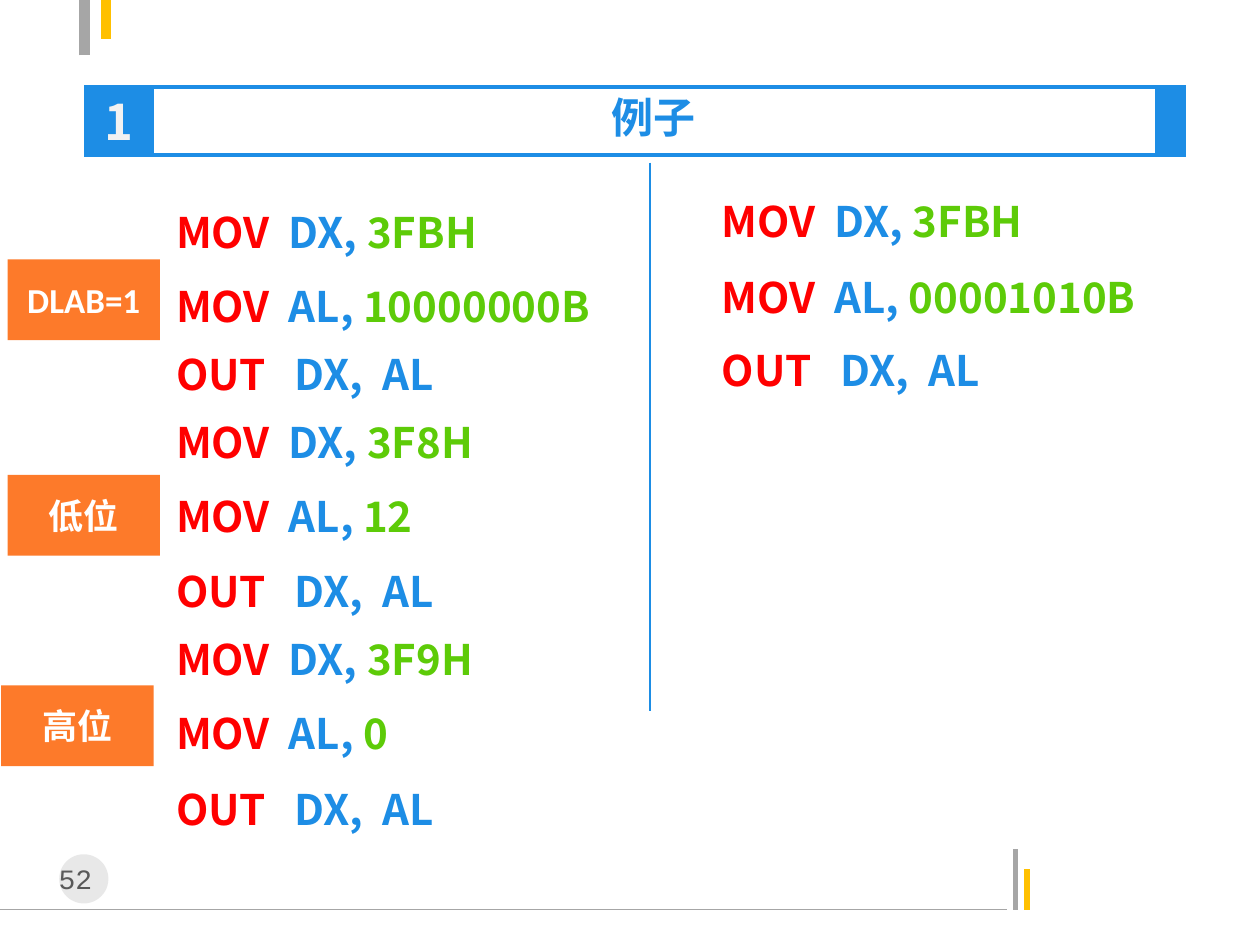
from dataclasses import dataclass

import pptx
import pptx.dml.color
import pptx.enum.shapes
import pptx.enum.text
import pptx.oxml.ns
import pptx.util
from lxml import etree

RGBColor = pptx.dml.color.RGBColor
Align = pptx.enum.text.PP_ALIGN
Anchor = pptx.enum.text.MSO_ANCHOR
Shape = pptx.enum.shapes.MSO_SHAPE

BLUE = RGBColor(0x1D, 0x8D, 0xE5)
RED = RGBColor(0xFF, 0x00, 0x00)
GREEN = RGBColor(0x5D, 0xCB, 0x08)
ORANGE = RGBColor(0xFD, 0x7A, 0x2A)
GOLD = RGBColor(0xFF, 0xC0, 0x00)
GRAY = RGBColor(0xA6, 0xA6, 0xA6)
SILVER = RGBColor(0xBF, 0xBF, 0xBF)
DARK = RGBColor(0x59, 0x59, 0x59)
PALE = RGBColor(0xF2, 0xF2, 0xF2)
WHITE = RGBColor(0xFF, 0xFF, 0xFF)

CJK_FONT = "Noto Sans CJK SC"
WIDTH = pptx.util.Inches(10)
HEIGHT = pptx.util.Inches(7.5)
COLUMNS, ROWS = 100, 75
LEFT_CODE, RIGHT_CODE = 13, 56.3


@dataclass(frozen=True)
class Area:
    column: float
    row: float
    columns: float
    rows: float

    def lengths(self) -> tuple[int, int, int, int]:
        return (across(self.column), down(self.row),
                across(self.columns), down(self.rows))


@dataclass(frozen=True)
class Rule:
    start: tuple[float, float]
    end: tuple[float, float]
    color: RGBColor
    points: float


@dataclass(frozen=True)
class Style:
    size: float
    color: RGBColor
    font: str = CJK_FONT
    bold: bool = True


@dataclass(frozen=True)
class Instruction:
    column: float
    row: float
    operator: str
    register: str
    value: str = ""


@dataclass(frozen=True)
class Label:
    column: float
    row: float
    text: str


RULES = [
    Rule((0, 72.2), (79.9, 72.2), GRAY, 0.75),
    Rule((80.6, 72.2), (80.6, 67.4), GRAY, 3),
    Rule((81.5, 72.2), (81.5, 69), GOLD, 3),
    Rule((6.7, 4.4), (6.7, 0), GRAY, 6),
    Rule((8.4, 0), (8.4, 3.1), GOLD, 6),
    Rule((6.7, 12.3), (94.1, 12.3), BLUE, 2.25),
    Rule((6.7, 6.9), (94.1, 6.9), BLUE, 2.25),
    Rule((51.6, 12.9), (51.6, 56.4), BLUE, 1),
]

INSTRUCTIONS = [
    Instruction(LEFT_CODE, 14.7, "MOV  ", "DX, ", "3FBH"),
    Instruction(LEFT_CODE, 20.6, "MOV  ", "AL, ", "10000000B"),
    Instruction(LEFT_CODE, 26, "OUT   ", "DX,  AL"),
    Instruction(LEFT_CODE, 31.4, "MOV  ", "DX, ", "3F8H"),
    Instruction(LEFT_CODE, 37.3, "MOV  ", "AL, ", "12"),
    Instruction(LEFT_CODE, 43.2, "OUT   ", "DX,  AL"),
    Instruction(LEFT_CODE, 48.6, "MOV  ", "DX, ", "3F9H"),
    Instruction(LEFT_CODE, 54.5, "MOV  ", "AL, ", "0"),
    Instruction(LEFT_CODE, 60.5, "OUT   ", "DX,  AL"),
    Instruction(RIGHT_CODE, 13.9, "MOV  ", "DX, ", "3FBH"),
    Instruction(RIGHT_CODE, 19.9, "MOV  ", "AL, ", "00001010B"),
    Instruction(RIGHT_CODE, 25.7, "OUT   ", "DX,  AL"),
]

LABELS = [
    Label(0.6, 20.6, "DLAB=1"),
    Label(0.6, 37.7, "低位"),
    Label(0.1, 54.4, "高位"),
]


def across(columns: float) -> int:
    return round(WIDTH * columns / COLUMNS)


def down(rows: float) -> int:
    return round(HEIGHT * rows / ROWS)


def add_span(para, text: str, style: Style) -> None:
    span = para.add_run()
    span.text = text
    span.font.name = style.font
    span.font.size = pptx.util.Pt(style.size)
    span.font.bold = style.bold
    span.font.color.rgb = style.color
    east_asian = etree.SubElement(span.font._element, pptx.oxml.ns.qn("a:ea"))
    east_asian.set("typeface", CJK_FONT)


def draw_rule(page, rule: Rule) -> None:
    line = page.shapes.add_connector(
        pptx.enum.shapes.MSO_CONNECTOR.STRAIGHT,
        across(rule.start[0]), down(rule.start[1]),
        across(rule.end[0]), down(rule.end[1]))
    line.line.color.rgb = rule.color
    line.line.width = pptx.util.Pt(rule.points)
    etree.SubElement(line._element.spPr, pptx.oxml.ns.qn("a:effectLst"))


def draw_block(page, area: Area, fill: RGBColor, outlined: bool = False,
               kind: Shape = Shape.RECTANGLE):
    block = page.shapes.add_shape(kind, *area.lengths())
    block.shadow.inherit = False
    block.fill.solid()
    block.fill.fore_color.rgb = fill
    if outlined:
        block.line.color.rgb = fill
        block.line.width = pptx.util.Pt(0.75)
    else:
        block.line.fill.background()
    return block


def write_centered(shape, text: str, style: Style,
                   anchor: Anchor = Anchor.MIDDLE) -> None:
    frame = shape.text_frame
    frame.word_wrap = True
    frame.vertical_anchor = anchor
    para = frame.paragraphs[0]
    para.alignment = Align.CENTER
    add_span(para, text, style)


def add_box(page, area: Area):
    box = page.shapes.add_textbox(*area.lengths())
    box.text_frame.word_wrap = True
    box.text_frame.auto_size = pptx.enum.text.MSO_AUTO_SIZE.SHAPE_TO_FIT_TEXT
    return box


def draw_instruction(page, line: Instruction) -> None:
    area = (Area(line.column, line.row, 38.6, 6.2) if line.value
            else Area(line.column, line.row, 32.3, 5.7))
    para = add_box(page, area).text_frame.paragraphs[0]
    para.line_spacing = 1.29
    add_span(para, line.operator, Style(24, RED))
    add_span(para, line.register, Style(24, BLUE))
    if line.value:
        add_span(para, line.value, Style(24, GREEN))


def draw_header(page) -> None:
    title = page.shapes.title
    title.left, title.top, title.width, title.height = Area(12.2, 6.8, 79.4, 5).lengths()
    title.text_frame.auto_size = pptx.enum.text.MSO_AUTO_SIZE.NONE
    write_centered(title, "例子", Style(24, BLUE), Anchor.TOP)
    number = draw_block(page, Area(6.7, 6.9, 5.5, 5.4), BLUE, outlined=True)
    write_centered(number, "1", Style(28, PALE))
    draw_block(page, Area(91.7, 6.8, 2.4, 5.4), BLUE, outlined=True)


def draw_page_number(page) -> None:
    disc = draw_block(page, Area(4.7, 67.8, 3.9, 3.9), SILVER, kind=Shape.OVAL)
    color = disc._element.spPr.find(".//" + pptx.oxml.ns.qn("a:srgbClr"))
    etree.SubElement(color, pptx.oxml.ns.qn("a:alpha")).set("val", "35000")
    box = add_box(page, Area(3.1, 67.9, 7.1, 3.7))
    write_centered(box, "52 ", Style(16, DARK, "Courier New", False), Anchor.TOP)


def main() -> None:
    deck = pptx.Presentation()
    deck.slide_width, deck.slide_height = WIDTH, HEIGHT
    page = deck.slides.add_slide(deck.slide_layouts.get_by_name("Title Only"))
    for rule in RULES:
        draw_rule(page, rule)
    draw_page_number(page)
    draw_header(page)
    for line in INSTRUCTIONS:
        draw_instruction(page, line)
    for label in LABELS:
        block = draw_block(page, Area(label.column, label.row, 12.1, 6.4), ORANGE)
        write_centered(block, label.text, Style(20, WHITE, "Calibri"))
    deck.save("out.pptx")


if __name__ == "__main__":
    main()
